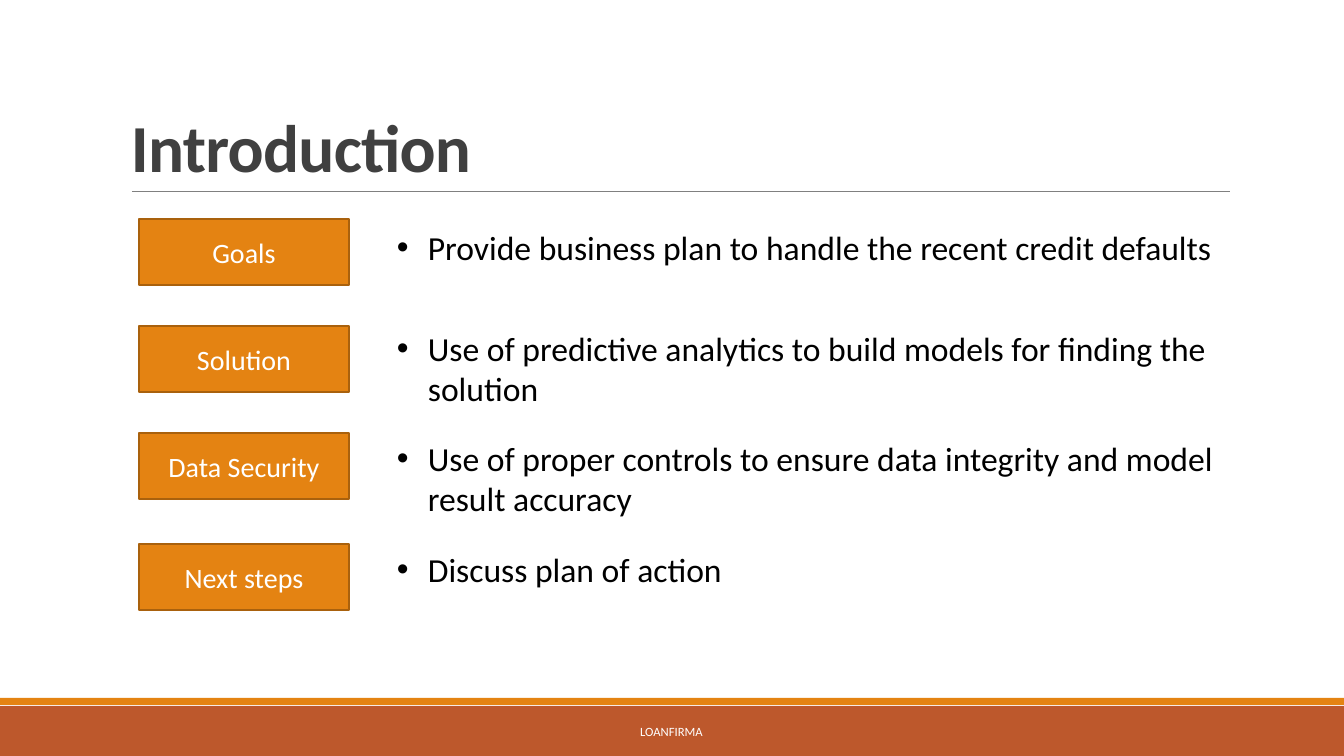
from dataclasses import dataclass

from lxml.etree import SubElement
from pptx import Presentation
from pptx.dml.color import RGBColor
from pptx.enum.shapes import MSO_CONNECTOR as Connector, MSO_SHAPE as Shape
from pptx.enum.text import MSO_ANCHOR as Anchor, MSO_AUTO_SIZE as AutoSize, PP_ALIGN as Align
from pptx.oxml.ns import qn
from pptx.util import Emu, Pt

EMU_PER_PX = 914400 / 100.8
SLIDE_WIDTH, SLIDE_HEIGHT = 1344, 756


@dataclass(frozen=True)
class Theme:
    font: str = "Calibri"
    orange: str = "E48312"
    orange_edge: str = "A9610D"
    rust: str = "BD582C"
    rule: str = "808080"
    heading: str = "404040"
    body: str = "000000"
    light: str = "FFFFFF"
    heading_size: int = 48
    body_size: int = 24
    label_size: int = 20
    footer_size: int = 9


THEME = Theme()

# label, label top, statement, statement top, statement height
AGENDA = [
    ("Goals", 219, "Provide business plan to handle the recent credit defaults", 222, 50),
    ("Solution", 326,
     "Use of predictive analytics to build models for finding the solution", 323, 92),
    ("Data Security", 433,
     "Use of proper controls to ensure data integrity and model result accuracy", 433, 92),
    ("Next steps", 544, "Discuss plan of action", 544, 50),
]


def px(*lengths):
    return [Emu(round(length * EMU_PER_PX)) for length in lengths]


def set_all(target, values):
    for name, value in values.items():
        setattr(target, name, value)


def write(holder, text, size, color, bold=False, align=Align.LEFT, **frame_format):
    """Fill a shape with one styled paragraph and return that paragraph."""
    frame = holder.text_frame
    set_all(frame, {"word_wrap": True, **frame_format})
    paragraph = frame.paragraphs[0]
    paragraph.alignment = align
    run = paragraph.add_run()
    run.text = text
    set_all(run.font, {"name": THEME.font, "size": Pt(size), "bold": bold})
    run.font.color.rgb = RGBColor.from_string(color)
    return paragraph


def add_block(slide, box, fill, edge=None):
    block = slide.shapes.add_shape(Shape.RECTANGLE, *px(*box))
    block.shadow.inherit = False
    block.fill.solid()
    block.fill.fore_color.rgb = RGBColor.from_string(fill)
    if edge:
        block.line.color.rgb = RGBColor.from_string(edge)
        block.line.width = Pt(1.25)
    else:
        block.line.fill.background()
    return block


def add_rule(slide, left, right, y):
    rule = slide.shapes.add_connector(Connector.STRAIGHT, *px(left, y, right, y))
    rule.line.color.rgb = RGBColor.from_string(THEME.rule)
    rule.line.width = Pt(0.5)
    SubElement(rule.element.spPr, qn("a:effectLst"))


def add_heading(slide, text, box):
    heading = slide.shapes.add_textbox(*px(*box))
    paragraph = write(heading, text, THEME.heading_size, THEME.heading, bold=True,
                      vertical_anchor=Anchor.BOTTOM)
    paragraph.line_spacing = 0.85
    paragraph.runs[0].font._element.set("spc", "-50")


def add_label(slide, text, top):
    label = add_block(slide, (139, top, 210, 66), THEME.orange, THEME.orange_edge)
    write(label, text, THEME.label_size, THEME.light, align=Align.CENTER,
          vertical_anchor=Anchor.MIDDLE)


def add_statement(slide, text, top, height):
    statement = slide.shapes.add_textbox(*px(387, top, 843, height))
    paragraph = write(statement, text, THEME.body_size, THEME.body,
                      auto_size=AutoSize.SHAPE_TO_FIT_TEXT)
    indent, = px(31)
    properties = paragraph._p.get_or_add_pPr()
    properties.set("marL", str(indent))
    properties.set("indent", str(-indent))
    SubElement(properties, qn("a:buFont"), typeface="Arial")
    SubElement(properties, qn("a:buChar"), char="•")


def add_footer(slide, text):
    add_block(slide, (0, 706, SLIDE_WIDTH, 50), THEME.rust)
    add_block(slide, (0, 698, SLIDE_WIDTH, 7), THEME.orange)
    footer = slide.shapes.add_textbox(*px(406, 712, 531, 40))
    write(footer, text, THEME.footer_size, THEME.light, align=Align.CENTER,
          vertical_anchor=Anchor.MIDDLE)


def main():
    deck = Presentation()
    deck.slide_width, deck.slide_height = px(SLIDE_WIDTH, SLIDE_HEIGHT)
    slide = deck.slides.add_slide(deck.slide_layouts[6])
    add_footer(slide, "LOANFIRMA")
    add_rule(slide, 132, 1230, 191)
    add_heading(slide, "Introduction", (121, 31, 1109, 160))
    for label, label_top, statement, top, height in AGENDA:
        add_label(slide, label, label_top)
        add_statement(slide, statement, top, height)
    deck.save("out.pptx")


if __name__ == "__main__":
    main()
